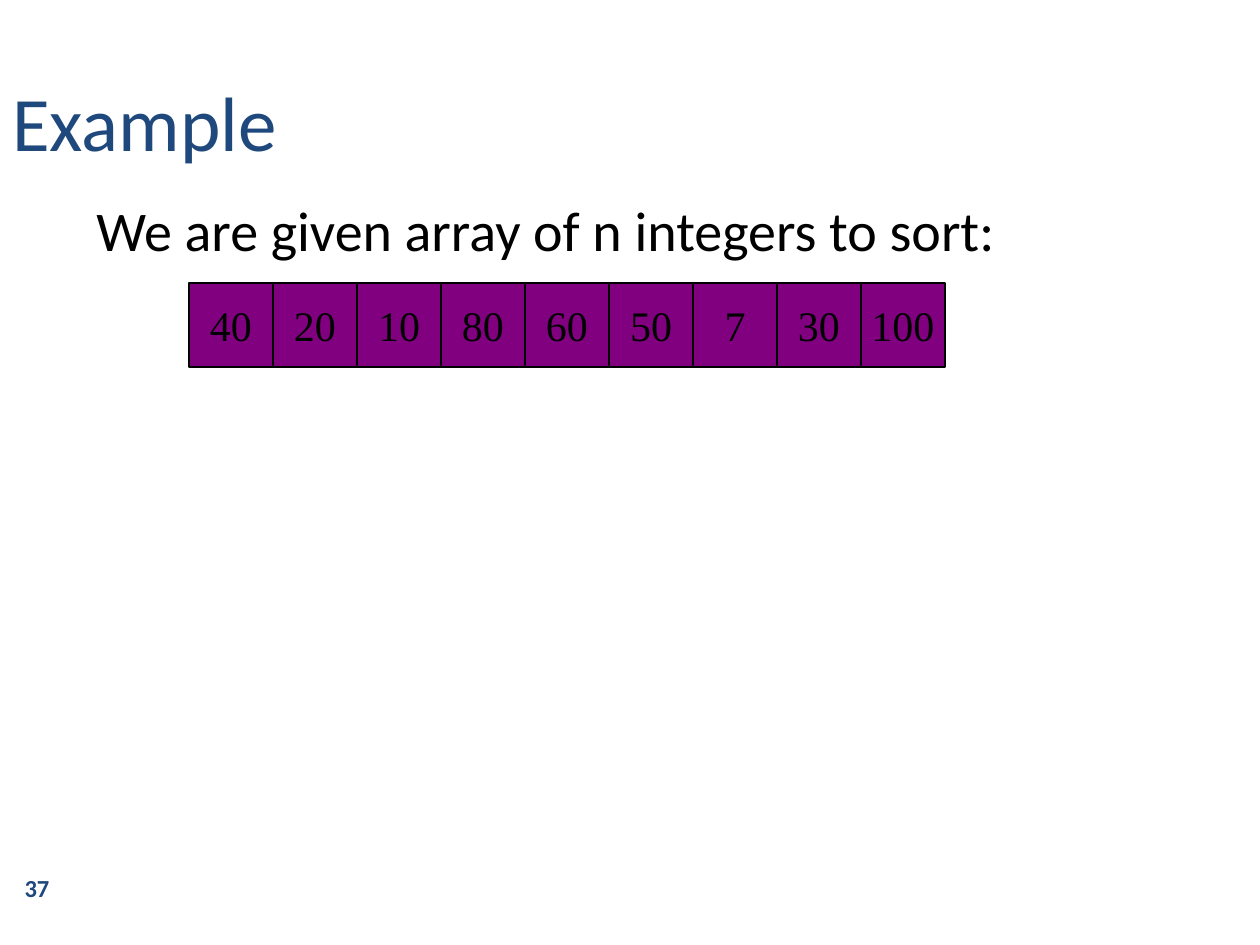
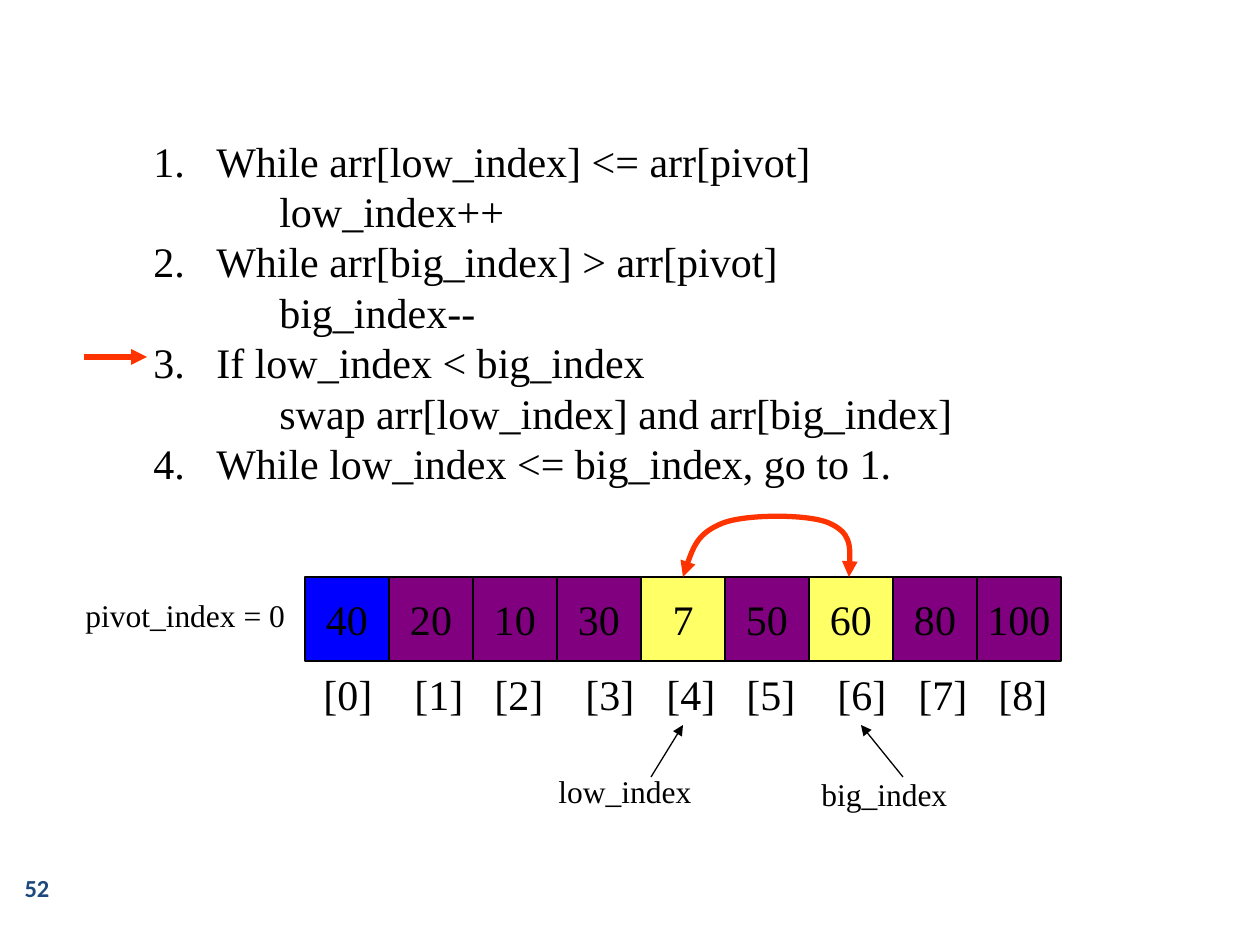
from lxml import etree
from pptx import Presentation
from pptx.dml.color import RGBColor
from pptx.enum.shapes import MSO_CONNECTOR, MSO_SHAPE
from pptx.enum.text import MSO_ANCHOR, PP_ALIGN
from pptx.oxml.ns import qn
from pptx.util import Pt

EMU_PER_PX = 914400 / 126
BLANK = 6

NAVY = RGBColor(0x1F, 0x49, 0x7D)
BLACK = RGBColor(0, 0, 0)
PURPLE = RGBColor(0x80, 0, 0x80)
BLUE = RGBColor(0, 0, 0xFF)
YELLOW = RGBColor(0xFF, 0xFF, 0x66)
ORANGE = RGBColor(0xFF, 0x33, 0)

RECT = MSO_SHAPE.RECTANGLE
STRAIGHT = MSO_CONNECTOR.STRAIGHT
TOP, MIDDLE = MSO_ANCHOR.TOP, MSO_ANCHOR.MIDDLE
LEFT, CENTER = PP_ALIGN.LEFT, PP_ALIGN.CENTER

TITLE = {"name": "Calibri", "size": Pt(44), "color": NAVY}
BODY = {"name": "Calibri", "size": Pt(32), "color": BLACK}
PAGE = {"name": "Calibri", "size": Pt(14), "bold": True, "color": NAVY}
CODE = {"name": "Times New Roman", "size": Pt(24), "color": BLACK}
LABEL = {**CODE, "size": Pt(18)}

CELL = 84
STEP_INDENT = 63
INDEX_TABS = (91, 171, 262, 343, 423, 514, 595, 675)
STEPS = (
    ("While arr[low_index] <= arr[pivot]", "low_index++"),
    ("While arr[big_index] > arr[pivot]", "big_index--"),
    ("If low_index < big_index", "swap arr[low_index] and arr[big_index]"),
    ("While low_index <= big_index, go to 1.", None),
)


def px(n):
    return round(n * EMU_PER_PX)


def add_run(p, text, fmt):
    r = p.add_run()
    r.text = text
    for key, value in fmt.items():
        if key == "color":
            r.font.color.rgb = value
        else:
            setattr(r.font, key, value)


def add_text(slide, box, text, fmt, anchor=TOP, align=LEFT):
    """Add a text box and return its first paragraph."""
    tf = slide.shapes.add_textbox(*map(px, box)).text_frame
    tf.word_wrap = True
    tf.margin_right = tf.margin_left if align == CENTER else 0
    tf.vertical_anchor = anchor
    p = tf.paragraphs[0]
    p.alignment = align
    add_run(p, text, fmt)
    return p


def add_page_number(slide, number):
    add_text(slide, (0, 861, 74, 53), str(number), PAGE, MIDDLE, CENTER)


def add_array(slide, left, top, values, highlights=None):
    """Draw a row of cells; highlights maps an index to its fill."""
    highlights = highlights or {}
    for i, value in enumerate(values):
        box = (left + i * CELL, top, CELL, CELL)
        sp = slide.shapes.add_shape(RECT, *map(px, box))
        sp.shadow.inherit = False
        sp.fill.solid()
        sp.fill.fore_color.rgb = highlights.get(i, PURPLE)
        sp.line.color.rgb = BLACK
        sp.line.width = Pt(0.75)
        tf = sp.text_frame
        tf.word_wrap = False
        tf.vertical_anchor = MIDDLE
        p = tf.paragraphs[0]
        p.alignment = CENTER
        add_run(p, str(value), CODE)


def add_steps(slide, box):
    """Write the numbered steps, each action indented below its condition."""
    p = add_text(slide, box, STEPS[0][0], CODE)
    tf = slide.shapes[-1].text_frame
    for i, (condition, action) in enumerate(STEPS):
        if i:
            p = tf.add_paragraph()
            add_run(p, condition, CODE)
        pPr = p._p.get_or_add_pPr()
        pPr.set("marL", str(px(STEP_INDENT)))
        pPr.set("indent", str(-px(STEP_INDENT)))
        etree.SubElement(pPr, qn("a:buFont"), typeface="+mj-lt")
        etree.SubElement(pPr, qn("a:buAutoNum"), type="arabicPeriod")
        if action:
            p = tf.add_paragraph()
            p.level = 1
            add_run(p, action, CODE)
            pPr = p._p.get_or_add_pPr()
            pPr.set("marL", str(px(2 * STEP_INDENT)))
            pPr.set("indent", "0")


def add_index_row(slide, box):
    text = "\t".join(f"[{i}]" for i in range(9))
    p = add_text(slide, box, text, CODE)
    tabs = etree.SubElement(p._p.get_or_add_pPr(), qn("a:tabLst"))
    for pos in INDEX_TABS:
        etree.SubElement(tabs, qn("a:tab"), pos=str(px(pos)), algn="l")


def style_arrow(sp, color, width, ends=("tailEnd",)):
    sp.line.color.rgb = color
    sp.line.width = Pt(width)
    ln = sp.line._get_or_add_ln()
    for end in ends:
        etree.SubElement(ln, qn(f"a:{end}"), type="triangle")


def add_arrow(slide, start, end, color=BLACK, width=0.75):
    sp = slide.shapes.add_connector(STRAIGHT, *map(px, start + end))
    style_arrow(sp, color, width)
    etree.SubElement(sp._element.spPr, qn("a:effectLst"))


def add_swap_curve(slide, start, controls):
    """Draw a two-headed Bézier curve; every three controls form a segment."""
    builder = slide.shapes.build_freeform(*start, scale=EMU_PER_PX)
    builder.add_line_segments(controls, close=False)
    sp = builder.convert_to_shape()
    lines = list(sp._element.iter(qn("a:lnTo")))
    for i in range(0, len(lines), 3):
        curve = etree.Element(qn("a:cubicBezTo"))
        lines[i].addprevious(curve)
        for line in lines[i:i + 3]:
            curve.append(line[0])
            line.getparent().remove(line)
    sp.fill.background()
    style_arrow(sp, ORANGE, 3, ("headEnd", "tailEnd"))
    sp.shadow.inherit = False


def add_example_slide(prs):
    slide = prs.slides.add_slide(prs.slide_layouts[BLANK])
    add_text(slide, (0, 42, 1071, 158), "Example", TITLE, MIDDLE)
    add_text(slide, (84, 189, 1071, 567),
             "We are given array of n integers to sort:", BODY)
    add_array(slide, 189, 283, (40, 20, 10, 80, 60, 50, 7, 30, 100))
    add_page_number(slide, 37)


def add_swap_slide(prs):
    slide = prs.slides.add_slide(prs.slide_layouts[BLANK])
    add_steps(slide, (141, 129, 832, 522))
    add_array(slide, 305, 577, (40, 20, 10, 30, 7, 50, 60, 80, 100),
              {0: BLUE, 4: YELLOW, 6: YELLOW})
    add_text(slide, (73, 590, 226, 50), "pivot_index = 0", LABEL)
    add_index_row(slide, (311, 662, 750, 63))
    add_text(slide, (546, 766, 399, 50), "low_index", LABEL)
    add_text(slide, (809, 769, 294, 50), "big_index", LABEL)
    add_arrow(slide, (903, 777), (861, 725))
    add_arrow(slide, (651, 777), (683, 725))
    add_arrow(slide, (84, 357), (147, 357), ORANGE, 3)
    add_swap_curve(slide, (683, 577), (
        (690, 554), (698, 533), (723, 523),
        (747, 514), (808, 514), (829, 523),
        (851, 533), (851, 554), (849, 577)))
    add_page_number(slide, 52)


def main():
    prs = Presentation()
    prs.slide_width, prs.slide_height = px(1260), px(945)
    add_example_slide(prs)
    add_swap_slide(prs)
    prs.save("out.pptx")


if __name__ == "__main__":
    main()
